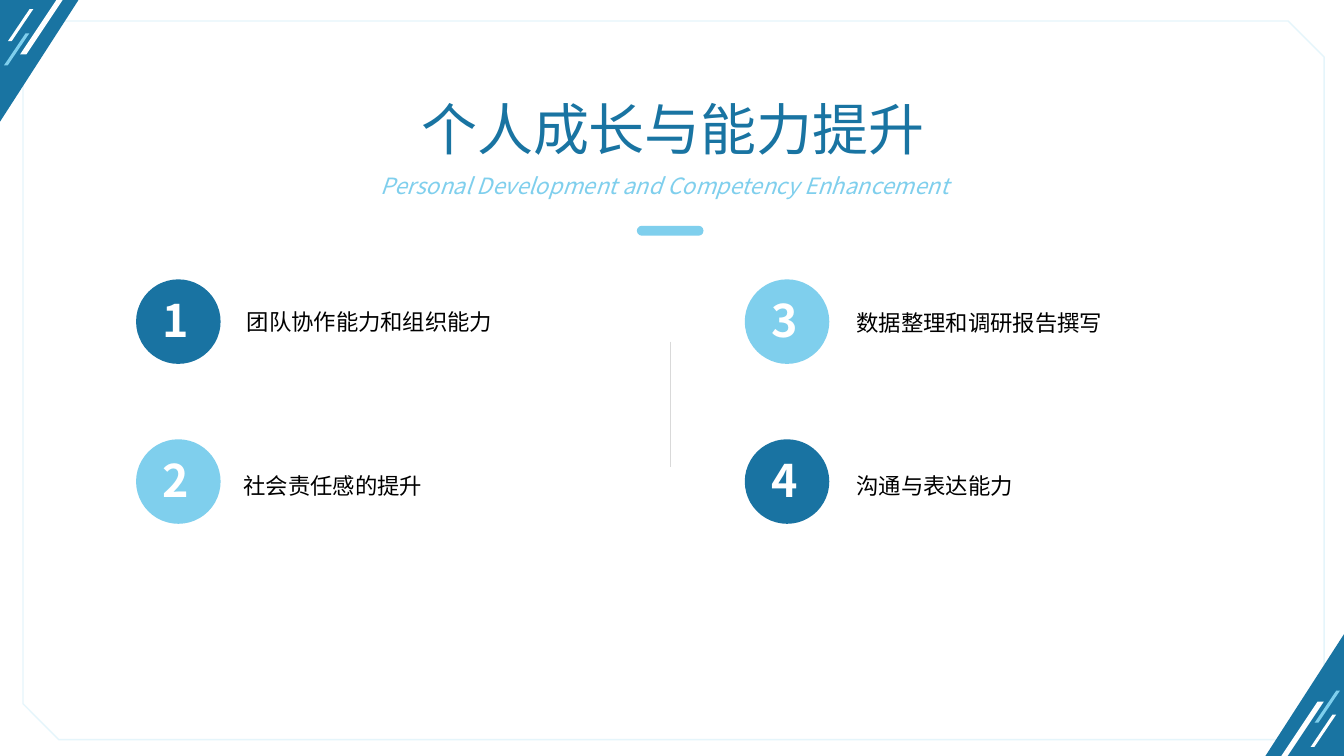
from lxml.etree import SubElement as Sub
from pptx import Presentation
from pptx.dml.color import RGBColor
from pptx.enum.shapes import MSO_CONNECTOR as Link, MSO_SHAPE as Form
from pptx.enum.text import MSO_ANCHOR as Anchor, MSO_AUTO_SIZE as Auto, PP_ALIGN as Align
from pptx.oxml.ns import qn
from pptx.util import Cm, Pt

BLUE = RGBColor(0x19, 0x74, 0xA2)
DISC = RGBColor(0x19, 0x73, 0xA2)
SKY = RGBColor(0x7F, 0xCF, 0xED)
EDGE = RGBColor(0x7E, 0xCF, 0xED)
GREY = RGBColor(0xD9, 0xD9, 0xD9)
WHITE = RGBColor(0xFF, 0xFF, 0xFF)
BLACK = RGBColor(0, 0, 0)
FONT = "Noto Sans CJK SC"
WIDE, HIGH = 33.87, 19.05

deck = Presentation()
deck.slide_width, deck.slide_height = Cm(WIDE), Cm(HIGH)
slide = deck.slides.add_slide(deck.slide_layouts[5])
shapes = slide.shapes


def draw(form, box, fill, *adjust):
    shape = shapes.add_shape(form, *map(Cm, box))
    shape.shadow.inherit = False
    shape.fill.solid()
    shape.fill.fore_color.rgb = fill
    shape.line.fill.background()
    for i, value in enumerate(adjust):
        shape.adjustments[i] = value
    return shape


def write(shape, box, text, size, color, wrap=False):
    shape.left, shape.top, shape.width, shape.height = map(Cm, box)
    frame = shape.text_frame
    frame.word_wrap = wrap
    frame.auto_size = Auto.SHAPE_TO_FIT_TEXT
    frame.vertical_anchor = Anchor.TOP
    para = frame.paragraphs[0]
    para.alignment = Align.LEFT
    run = para.add_run()
    run.text = text
    font = run.font
    font.name, font.size, font.color.rgb = FONT, Pt(size), color
    Sub(run._r.get_or_add_rPr(), qn("a:ea"), typeface=FONT)
    return para, font


# Pale frame with two snipped corners
frame = draw(Form.SNIP_2_DIAG_RECTANGLE, (0.58, 0.53, 32.79, 18.11), WHITE, 0, 0.05)
frame.line.color.rgb = EDGE
frame.line.width = Pt(1)
tint = frame.line._ln.find(".//" + qn("a:srgbClr"))
Sub(tint, qn("a:alpha"), val="20000")

# Corner ornaments: the second is the first turned half way round the slide
stripes = [
    (0.51, 0, 1.07, 1.37, WHITE),
    (0.1, 0.84, 0.64, 0.81, SKY),
    (0.2, 0.23, 0.64, 0.81, WHITE),
]
for turn in (180, 0):
    parts = [(Form.RIGHT_TRIANGLE, 0, 0, 1.98, 3.07, BLUE)]
    parts += [(Form.PARALLELOGRAM, *stripe) for stripe in stripes]
    for form, x, y, w, h, color in parts:
        if turn:
            x, y = WIDE - x - w, HIGH - y - h
        part = draw(form, (x, y, w, h), color)
        part.rotation = turn
        if form == Form.RIGHT_TRIANGLE:
            part.element.spPr.find(qn("a:xfrm")).set("flipV", "1")
        else:
            part.adjustments[0] = 0.854

# Divider between the two columns
rule = shapes.add_connector(Link.STRAIGHT, Cm(16.89), Cm(8.61), Cm(16.89), Cm(11.76))
rule.line.color.rgb = GREY
rule.line.width = Pt(0.5)
Sub(rule.element.spPr, qn("a:effectLst"))

# Numbered points, down each column: text, left and top of the label
points = [
    ("团队协作能力和组织能力", 5.97, 7.39),
    ("社会责任感的提升", 5.89, 11.51),
    ("数据整理和调研报告撰写", 21.34, 7.42),
    ("沟通与表达能力", 21.34, 11.51),
]
for i, (text, left, top) in enumerate(points):
    col, row = divmod(i, 2)
    x, y = 3.43 + 15.34 * col, 7.04 + 4.03 * row
    draw(Form.OVAL, (x, y, 2.13, 2.13), DISC if col == row else SKY)
    box = (x + 0.42, y + 0.22, 1.17, 1.63)
    if i == 0:
        box = (x + 0.41, y + 0.2, 1.27, 1.78)
    para, font = write(shapes.add_textbox(0, 0, 0, 0), box, str(i + 1), 32, WHITE)
    font.bold = True
    box = (left, top, 10.03 - 0.12 * col, 1.11)
    para, font = write(shapes.add_textbox(0, 0, 0, 0), box, text, 16, BLACK, True)
    para.line_spacing = 1.38

# Heading: subtitle, title in front of the frame, and accent bar
para, font = write(shapes.add_textbox(0, 0, 0, 0), (9.35, 4.22, 15.39, 0.94),
                   "Personal Development and Competency Enhancement", 16, SKY)
font.italic = True
title = shapes.title
write(title, (10.36, 2.26, 13.34, 1.96), "个人成长与能力提升", 40, BLUE)
title.element.getparent().append(title.element)
draw(Form.ROUNDED_RECTANGLE, (16.05, 5.69, 1.68, 0.25), SKY, 0.5)

deck.save("out.pptx")
